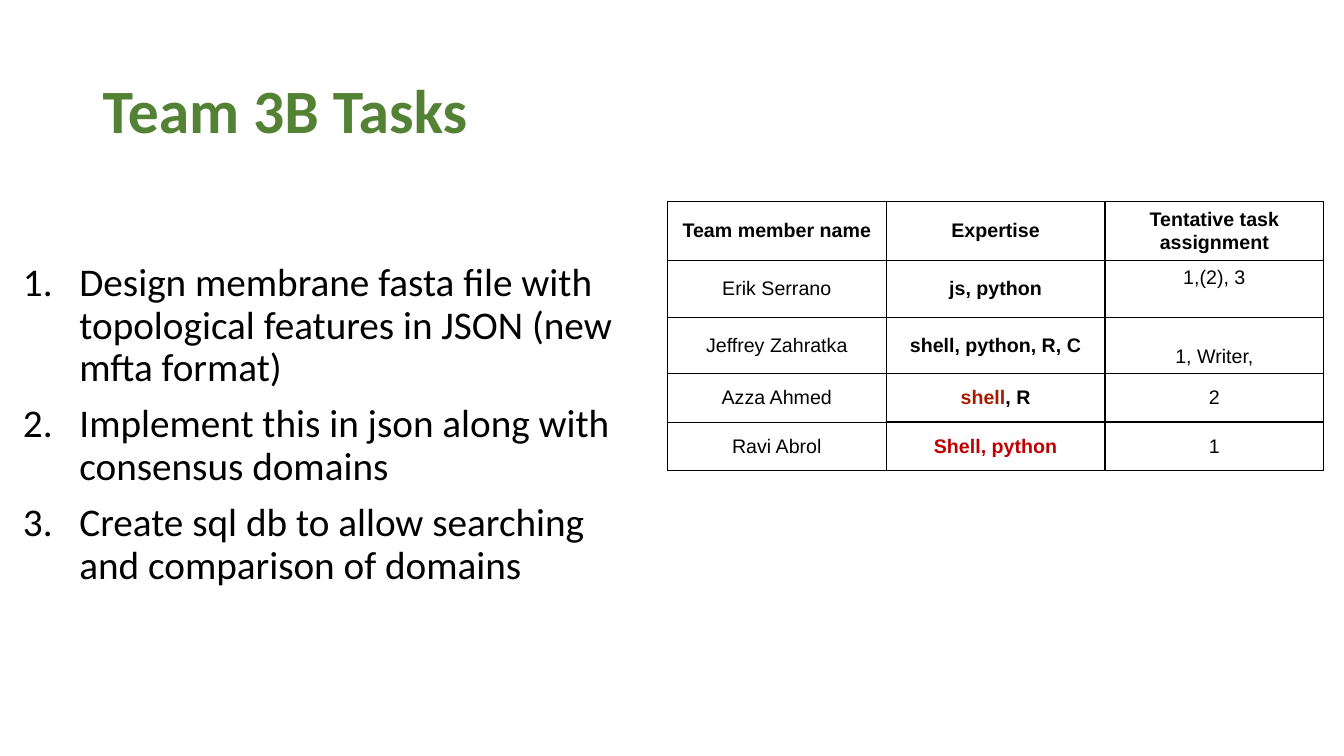
from dataclasses import dataclass

from lxml import etree
from pptx import Presentation
from pptx import util as u
from pptx.dml.color import RGBColor
from pptx.enum import text
from pptx.oxml import ns


@dataclass(frozen=True)
class Theme:
    heading_font: str = "Calibri"
    table_font: str = "Arial"
    title_size: int = 44
    list_size: int = 28
    table_size: int = 14
    black: str = "000000"
    green: str = "548235"
    rust: str = "A61C00"
    red: str = "C00000"


THEME = Theme()
TOP, MIDDLE, BOTTOM = (
    text.MSO_ANCHOR.TOP,
    text.MSO_ANCHOR.MIDDLE,
    text.MSO_ANCHOR.BOTTOM,
)


@dataclass(frozen=True)
class Span:
    words: str
    bold: bool = False
    color: str = THEME.black


@dataclass(frozen=True)
class Member:
    name: str
    expertise: tuple[Span, ...]
    tasks: str
    row_height: float
    task_anchor: text.MSO_ANCHOR = MIDDLE


TASKS = (
    "Design membrane fasta file with topological features in JSON (new mfta format)",
    "Implement this in json along with consensus domains",
    "Create sql db to allow searching and comparison of domains",
)
HEADERS = ("Team member name", "Expertise", "Tentative task assignment")
HEADER_HEIGHT = 0.56
COLUMN_WIDTH = 2.17
MEMBERS = (
    Member("Erik Serrano", (Span("js, python", True),), "1,(2), 3", 0.56, TOP),
    Member("Jeffrey Zahratka", (Span("shell, python, R, C", True),), "1, Writer,", 0.56, BOTTOM),
    Member("Azza Ahmed", (Span("shell", True, THEME.rust), Span(", R", True)), "2", 0.48),
    Member("Ravi Abrol", (Span("Shell, python", True, THEME.red),), "1", 0.48),
)


def set_values(target, values: dict) -> None:
    for name, value in values.items():
        setattr(target, name, value)


def add_span(paragraph, span: Span, font: str, size: int) -> None:
    run = paragraph.add_run()
    run.text = span.words
    set_values(run.font, {"name": font, "size": u.Pt(size), "bold": span.bold})
    run.font.color.rgb = RGBColor.from_string(span.color)


def add_text_frame(slide, left: float, top: float, width: float, height: float):
    box = slide.shapes.add_textbox(*map(u.Inches, (left, top, width, height)))
    box.text_frame.word_wrap = True
    return box.text_frame


def add_title(slide) -> None:
    frame = add_text_frame(slide, 0.92, 0.4, 11.5, 1.45)
    frame.vertical_anchor = MIDDLE
    paragraph = frame.paragraphs[0]
    paragraph.line_spacing = 0.9
    title = Span("Team 3B Tasks", True, THEME.green)
    add_span(paragraph, title, THEME.heading_font, THEME.title_size)


def add_task_list(slide) -> None:
    frame = add_text_frame(slide, 0.13, 2, 6.34, 4.76)
    frame.margin_top = u.Inches(0.61)
    indent = u.Inches(0.56)
    for index, task in enumerate(TASKS):
        paragraph = frame.add_paragraph() if index else frame.paragraphs[0]
        set_values(paragraph, {"line_spacing": 0.9, "space_before": u.Pt(10 if index else 0)})
        properties = paragraph._p.get_or_add_pPr()
        properties.set("marL", str(indent))
        properties.set("indent", str(-indent))
        bullet_font = etree.SubElement(properties, ns.qn("a:buFont"))
        bullet_font.set("typeface", THEME.heading_font)
        numbering = etree.SubElement(properties, ns.qn("a:buAutoNum"))
        numbering.set("type", "arabicPeriod")
        add_span(paragraph, Span(task), THEME.heading_font, THEME.list_size)


def add_borders(cell, width: float) -> None:
    properties = cell._tc.get_or_add_tcPr()
    for side in ("lnL", "lnR", "lnT", "lnB"):
        line = etree.SubElement(properties, ns.qn(f"a:{side}"), w=str(u.Pt(width)))
        fill = etree.SubElement(line, ns.qn("a:solidFill"))
        etree.SubElement(fill, ns.qn("a:srgbClr"), val=THEME.black)


def fill_cell(
    cell, spans: tuple[Span, ...], border: float, margins: tuple[float, float], anchor=MIDDLE
) -> None:
    across, down = map(u.Inches, margins)
    set_values(cell, {
        "margin_left": across,
        "margin_right": across,
        "margin_top": down,
        "margin_bottom": down,
        "vertical_anchor": anchor,
    })
    add_borders(cell, border)
    cell.fill.background()
    paragraph = cell.text_frame.paragraphs[0]
    paragraph.alignment = text.PP_ALIGN.CENTER
    for span in spans:
        add_span(paragraph, span, THEME.table_font, THEME.table_size)


def add_member_table(slide) -> None:
    heights = [HEADER_HEIGHT] + [member.row_height for member in MEMBERS]
    size = (COLUMN_WIDTH * len(HEADERS), sum(heights))
    frame = slide.shapes.add_table(
        len(heights), len(HEADERS), *map(u.Inches, (6.62, 2, *size))
    )
    table = frame.table
    set_values(table, {"first_row": False, "horz_banding": False})
    for column in table.columns:
        column.width = u.Inches(COLUMN_WIDTH)
    for row, height in zip(table.rows, heights):
        row.height = u.Inches(height)
    for column, header in enumerate(HEADERS):
        fill_cell(table.cell(0, column), (Span(header, True),), 1, (0.07, 0.06))
    for row, member in enumerate(MEMBERS, start=1):
        fill_cell(table.cell(row, 0), (Span(member.name),), 0.75, (0.03, 0.03))
        fill_cell(table.cell(row, 1), member.expertise, 1, (0.07, 0.07))
        fill_cell(
            table.cell(row, 2), (Span(member.tasks),), 1, (0.07, 0.06), member.task_anchor
        )


def main() -> None:
    presentation = Presentation()
    set_values(presentation, {"slide_width": u.Inches(13.33), "slide_height": u.Inches(7.5)})
    slide = presentation.slides.add_slide(presentation.slide_layouts[6])
    add_title(slide)
    add_member_table(slide)
    add_task_list(slide)
    presentation.save("out.pptx")


if __name__ == "__main__":
    main()
